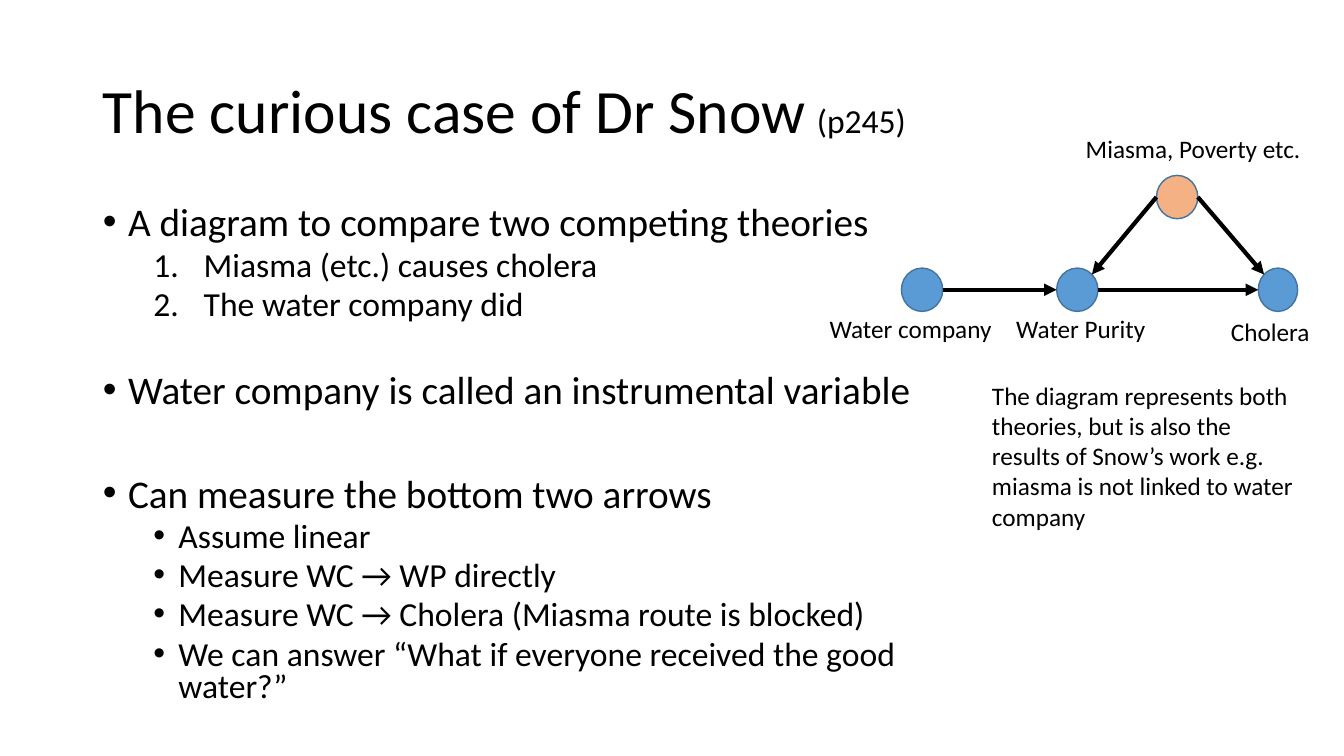
from dataclasses import dataclass
from math import cos, radians, sin

from lxml.etree import SubElement
from pptx import Presentation
from pptx.dml.color import RGBColor
from pptx.enum.shapes import MSO_CONNECTOR, MSO_SHAPE
from pptx.enum.text import MSO_ANCHOR, MSO_AUTO_SIZE, PP_ALIGN
from pptx.oxml.ns import qn
from pptx.util import Inches, Pt

BLACK = RGBColor(0x00, 0x00, 0x00)
BLUE = RGBColor(0x5B, 0x9B, 0xD5)
ORANGE = RGBColor(0xF4, 0xB1, 0x83)
OUTLINE = RGBColor(0x43, 0x73, 0x9E)
FONT = "Calibri"
NODE_HEIGHT = 0.43
LABEL_HEIGHT = 0.4


@dataclass
class Node:
    left: float
    top: float
    width: float
    fill: RGBColor
    label: str
    label_left: float
    label_top: float
    label_width: float

    def rim(self, angle: float) -> tuple[float, float]:
        """Point on the outline, in degrees clockwise from the right."""
        turn = radians(angle)
        return (self.left + self.width / 2 * (1 + cos(turn)),
                self.top + NODE_HEIGHT / 2 * (1 + sin(turn)))


@dataclass
class Arrow:
    start: tuple[float, float]
    end: tuple[float, float]


@dataclass
class Point:
    text: str
    level: int = 0
    numbered: bool = False
    space_before: float = 5


def add_text(paragraph, text: str, *, size: float = 18) -> None:
    run = paragraph.add_run()
    run.text = text
    run.font.name = FONT
    run.font.size = Pt(size)
    run.font.color.rgb = BLACK


def place(shape, left: float, top: float, width: float, height: float) -> None:
    shape.left, shape.top = Inches(left), Inches(top)
    shape.width, shape.height = Inches(width), Inches(height)


def add_point(paragraph, point: Point) -> None:
    paragraph.level = point.level
    paragraph.line_spacing = 0.8
    paragraph.space_before = Pt(point.space_before)
    hanging = 0.5 if point.numbered else 0.25
    properties = paragraph._p.get_or_add_pPr()
    properties.set("marL", str(Inches(0.5 * point.level + hanging)))
    properties.set("indent", str(-Inches(hanging)))
    if point.numbered:
        SubElement(properties, qn("a:buFont"), typeface="+mj-lt")
        SubElement(properties, qn("a:buAutoNum"), type="arabicPeriod")
    else:
        SubElement(properties, qn("a:buFont"), typeface="Arial")
        SubElement(properties, qn("a:buChar"), char="•")
    add_text(paragraph, point.text, size=24 if point.level else 28)


def add_note(slide, text: str, left: float, top: float, width: float,
             height: float, *, wrap: bool) -> None:
    box = slide.shapes.add_textbox(Inches(left), Inches(top), Inches(width), Inches(height))
    box.text_frame.word_wrap = wrap
    box.text_frame.auto_size = MSO_AUTO_SIZE.SHAPE_TO_FIT_TEXT
    add_text(box.text_frame.paragraphs[0], text)


def draw_node(slide, node: Node) -> None:
    circle = slide.shapes.add_shape(MSO_SHAPE.OVAL, Inches(node.left), Inches(node.top),
                                    Inches(node.width), Inches(NODE_HEIGHT))
    circle.shadow.inherit = False
    circle.fill.solid()
    circle.fill.fore_color.rgb = node.fill
    circle.line.color.rgb = OUTLINE
    circle.line.width = Pt(1)
    add_note(slide, node.label, node.label_left, node.label_top,
             node.label_width, LABEL_HEIGHT, wrap=False)


def draw_arrow(slide, arrow: Arrow) -> None:
    ends = [Inches(length) for length in (*arrow.start, *arrow.end)]
    connector = slide.shapes.add_connector(MSO_CONNECTOR.STRAIGHT, *ends)
    connector.line.color.rgb = BLACK
    connector.line.width = Pt(3)
    SubElement(connector.line._get_or_add_ln(), qn("a:tailEnd"), type="triangle")
    SubElement(connector._element.spPr, qn("a:effectLst"))


presentation = Presentation()
presentation.slide_width = Inches(13.33)
presentation.slide_height = Inches(7.5)
slide = presentation.slides.add_slide(presentation.slide_layouts[1])

# Title
title = slide.shapes.title
place(title, 0.92, 0.4, 11.5, 1.45)
title.text_frame.vertical_anchor = MSO_ANCHOR.MIDDLE
title.text_frame.auto_size = MSO_AUTO_SIZE.NONE
heading = title.text_frame.paragraphs[0]
heading.alignment = PP_ALIGN.LEFT
heading.line_spacing = 0.9
for words, size in (("The curious case of Dr Snow", 44), (" ", 32), ("(p245)", 24)):
    add_text(heading, words, size=size)

# Argument
POINTS = [
    Point("A diagram to compare two competing theories", space_before=10),
    Point("Miasma (etc.) causes cholera", 1, numbered=True),
    Point("The water company did", 1, numbered=True),
    Point("Water company is called an instrumental variable", space_before=37),
    Point("Can measure the bottom two arrows", space_before=47),
    Point("Assume linear", 1),
    Point("Measure WC → WP directly", 1),
    Point("Measure WC → Cholera (Miasma route is blocked)", 1),
    Point("We can answer “What if everyone received the good water?”", 1),
]
argument = slide.placeholders[1]
place(argument, 0.92, 2, 8.67, 5.33)
argument.text_frame.auto_size = MSO_AUTO_SIZE.NONE
for index, point in enumerate(POINTS):
    frame = argument.text_frame
    add_point(frame.add_paragraph() if index else frame.paragraphs[0], point)

# Causal diagram
miasma = Node(11.47, 1.74, 0.41, ORANGE, "Miasma, Poverty etc.", 10.67, 1.27, 2.35)
company = Node(8.94, 2.66, 0.41, BLUE, "Water company", 8.13, 3.06, 1.83)
purity = Node(10.48, 2.66, 0.41, BLUE, "Water Purity", 9.98, 3.06, 1.5)
cholera = Node(12.48, 2.66, 0.39, BLUE, "Cholera", 12.11, 3.09, 0.99)
for node in (miasma, company, purity, cholera):
    draw_node(slide, node)

RIGHT, LEFT, TOP_LEFT, TOP_RIGHT = 0, 180, 225, 315
ARROWS = [
    Arrow(company.rim(RIGHT), purity.rim(LEFT)),
    Arrow(purity.rim(RIGHT), cholera.rim(LEFT)),
    Arrow(miasma.rim(LEFT), purity.rim(TOP_RIGHT)),
    Arrow(miasma.rim(RIGHT), cholera.rim(TOP_LEFT)),
]
for arrow in ARROWS:
    draw_arrow(slide, arrow)

# Remark below the diagram
add_note(slide, "The diagram represents both theories, but is also the results of "
         "Snow’s work e.g. miasma is not linked to water company",
         9.74, 3.72, 3.29, 1.62, wrap=True)

presentation.save("out.pptx")
